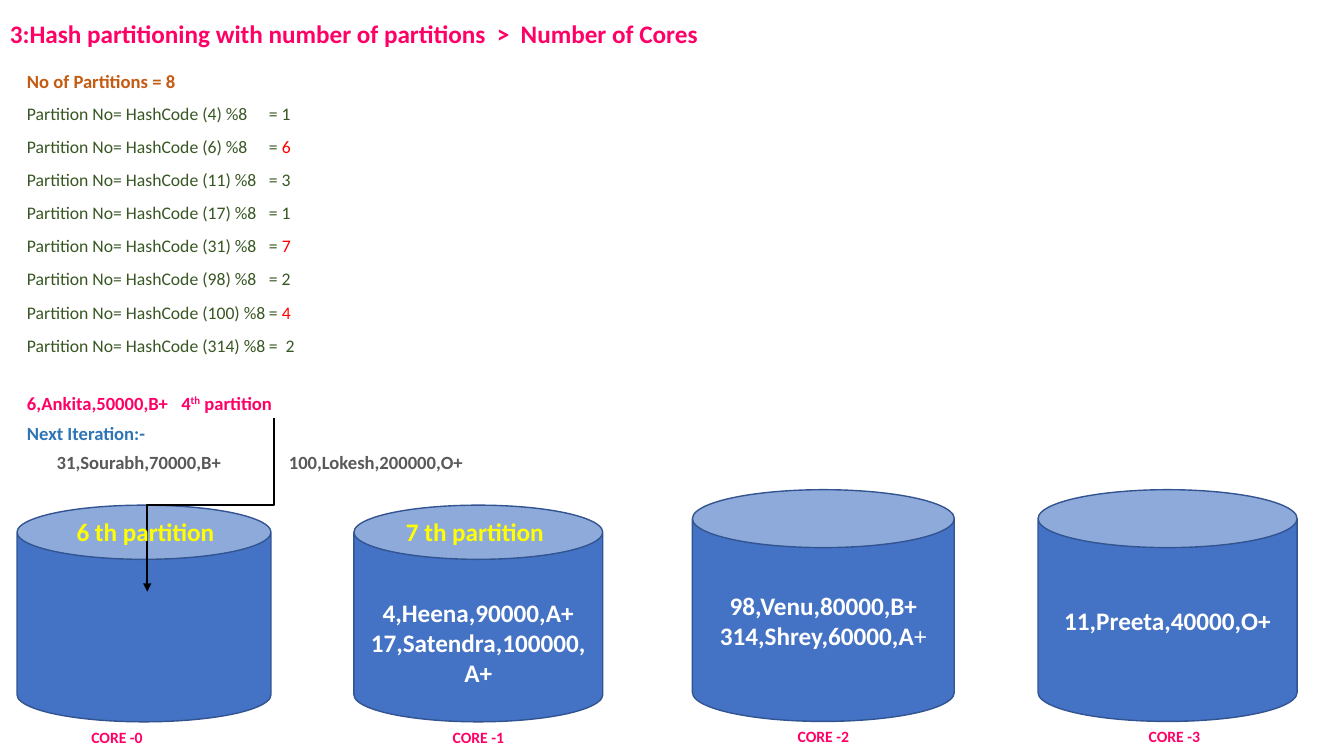
from lxml.etree import SubElement
from pptx import Presentation
from pptx.dml.color import RGBColor
from pptx.enum.shapes import MSO_CONNECTOR, MSO_SHAPE
from pptx.enum.text import MSO_ANCHOR, PP_ALIGN
from pptx.oxml.ns import qn
from pptx.util import Cm, Pt

FONT = "Calibri"
COLORS = {
    "pink": "FF0066", "orange": "C55A11", "green": "385723", "red": "FF0000",
    "blue": "2E75B6", "gray": "595959", "yellow": "FFFF00", "white": "FFFFFF",
    "black": "000000", "can": "4472C4", "can_edge": "325491",
}

# key, partition number, its colour
HASHES = [
    ("4", "1", "green"), ("6", "6", "red"), ("11", "3", "green"),
    ("17", "1", "green"), ("31", "7", "red"), ("98", "2", "green"),
    ("100", "4", "red"), ("314", " 2", "green"),
]

# box, records as (text, bold) runs, room above the records, label offset
CORES = [
    ((0.43, 12.73, 6.4, 5.46), [], 0, -0.68),
    ((8.92, 12.73, 6.27, 5.46),
     [[("4,Heena,90000,A+", True)], [("17,Satendra,100000,A+", True)]], 0.78, 0),
    ((17.45, 12.34, 6.6, 5.84),
     [[("98,Venu,80000,B+", True)],
      [("314,Shrey,60000,A", True), ("+", False)]], 0, 0),
    ((26.16, 12.34, 6.53, 5.84), [[("11,Preeta,40000,O+", True)]], 0, 0.17),
]


def rgb(name):
    return RGBColor.from_string(COLORS[name])


def add_run(paragraph, text, size, color, bold=True):
    run = paragraph.add_run()
    run.text = text
    run.font.name = FONT
    run.font.size = Pt(size)
    run.font.bold = bold
    run.font.color.rgb = rgb(color)
    return run


def next_paragraph(frame):
    """Return the unused first paragraph, or a new one."""
    first = frame.paragraphs[0]
    return frame.add_paragraph() if first.runs else first


def set_tabs(paragraph, *stops):
    tabs = SubElement(paragraph._p.get_or_add_pPr(), qn("a:tabLst"))
    for stop in stops:
        SubElement(tabs, qn("a:tab"), pos=str(Cm(stop)), algn="l")


def add_text_box(slide, box):
    frame = slide.shapes.add_textbox(*map(Cm, box)).text_frame
    frame.word_wrap = True
    return frame


def add_line_of_text(slide, box, text, size, color, align=PP_ALIGN.LEFT):
    paragraph = add_text_box(slide, box).paragraphs[0]
    paragraph.alignment = align
    add_run(paragraph, text, size, color)


def add_calculation(slide, box):
    """Place the hash formulas and, below them, the records still to be handled."""
    frame = add_text_box(slide, box)

    def spaced_paragraph(line_spacing, before=10):
        paragraph = next_paragraph(frame)
        paragraph.line_spacing = line_spacing
        paragraph.space_before = Pt(before)
        return paragraph

    add_run(spaced_paragraph(0.7), "No of Partitions = 8", 13.3, "orange")
    for key, number, color in HASHES:
        formula = spaced_paragraph(0.9)
        set_tabs(formula, 6.1)
        add_run(formula, f"Partition No= HashCode ({key}) %8\t= ", 12.6, "green", False)
        add_run(formula, number, 12.6, color, False)

    current = spaced_paragraph(0.7, before=30)
    set_tabs(current, 3.89)
    add_run(current, "6,Ankita,50000,B+\t4", 13.3, "pink")
    ordinal = add_run(current, "th", 13.3, "pink")
    ordinal.font._element.set("baseline", "30000")
    add_run(current, " partition", 13.3, "pink")

    add_run(spaced_paragraph(0.7), "Next Iteration:-", 13.3, "blue")
    upcoming = spaced_paragraph(0.7)
    set_tabs(upcoming, 0.75, 6.6)
    add_run(upcoming, "\t31,Sourabh,70000,B+\t100,Lokesh,200000,O+", 13.3, "gray")


def add_core(slide, number, box, records, room_above, label_offset):
    """Place one cylinder with its records, and the core's label under it."""
    left, top, width, height = box
    can = slide.shapes.add_shape(MSO_SHAPE.CAN, *map(Cm, box))
    can.shadow.inherit = False
    can.fill.solid()
    can.fill.fore_color.rgb = rgb("can")
    can.line.color.rgb = rgb("can_edge")
    can.line.width = Pt(1)
    frame = can.text_frame
    frame.word_wrap = True
    frame.vertical_anchor = MSO_ANCHOR.MIDDLE
    frame.margin_top = Cm(0.13 + room_above)
    for record in records:
        paragraph = next_paragraph(frame)
        paragraph.alignment = PP_ALIGN.CENTER
        for text, bold in record:
            add_run(paragraph, text, 18, "white", bold)
    add_line_of_text(slide, (left + label_offset, top + height + 0.02, width, 0.75),
                     f"CORE -{number}", 11.2, "pink", PP_ALIGN.CENTER)


def add_record_arrow(slide, start, end):
    """Draw an elbow arrow that leaves downwards, turns left and ends downwards."""
    (x1, y1), (x2, y2) = start, end
    across, down = x1 - x2, y1 - y2
    center_x, center_y = (x1 + x2) / 2, (y1 + y2) / 2
    # Turned by 90 degrees, so the drop is its width and the shift its height.
    arrow = slide.shapes.add_connector(
        MSO_CONNECTOR.ELBOW,
        Cm(center_x + down / 2), Cm(center_y - across / 2),
        Cm(center_x - down / 2), Cm(center_y + across / 2))
    properties = arrow._element.spPr
    properties.find(qn("a:xfrm")).set("rot", "5400000")
    arrow.line.color.rgb = rgb("black")
    arrow.line.width = Pt(1.5)
    SubElement(arrow.line._get_or_add_ln(), qn("a:tailEnd"), type="triangle")
    SubElement(properties, qn("a:effectLst"))


def main():
    presentation = Presentation()
    presentation.slide_width, presentation.slide_height = Cm(33.87), Cm(19.05)
    slide = presentation.slides.add_slide(presentation.slide_layouts[6])

    add_calculation(slide, (0.43, 1.78, 33, 10.6))
    for number, core in enumerate(CORES):
        add_core(slide, number, *core)
    add_record_arrow(slide, (6.91, 10.54), (3.71, 14.91))
    add_line_of_text(slide, (1.68, 12.88, 4.34, 1.02), "6 th partition", 18, "yellow")
    add_line_of_text(slide, (9.98, 12.88, 5.23, 1.02), "7 th partition", 18, "yellow")
    add_line_of_text(slide, (0, 0.33, 26.62, 1.02),
                     "3:Hash partitioning with number of partitions  >  Number of Cores",
                     18, "pink")
    presentation.save("out.pptx")


if __name__ == "__main__":
    main()
